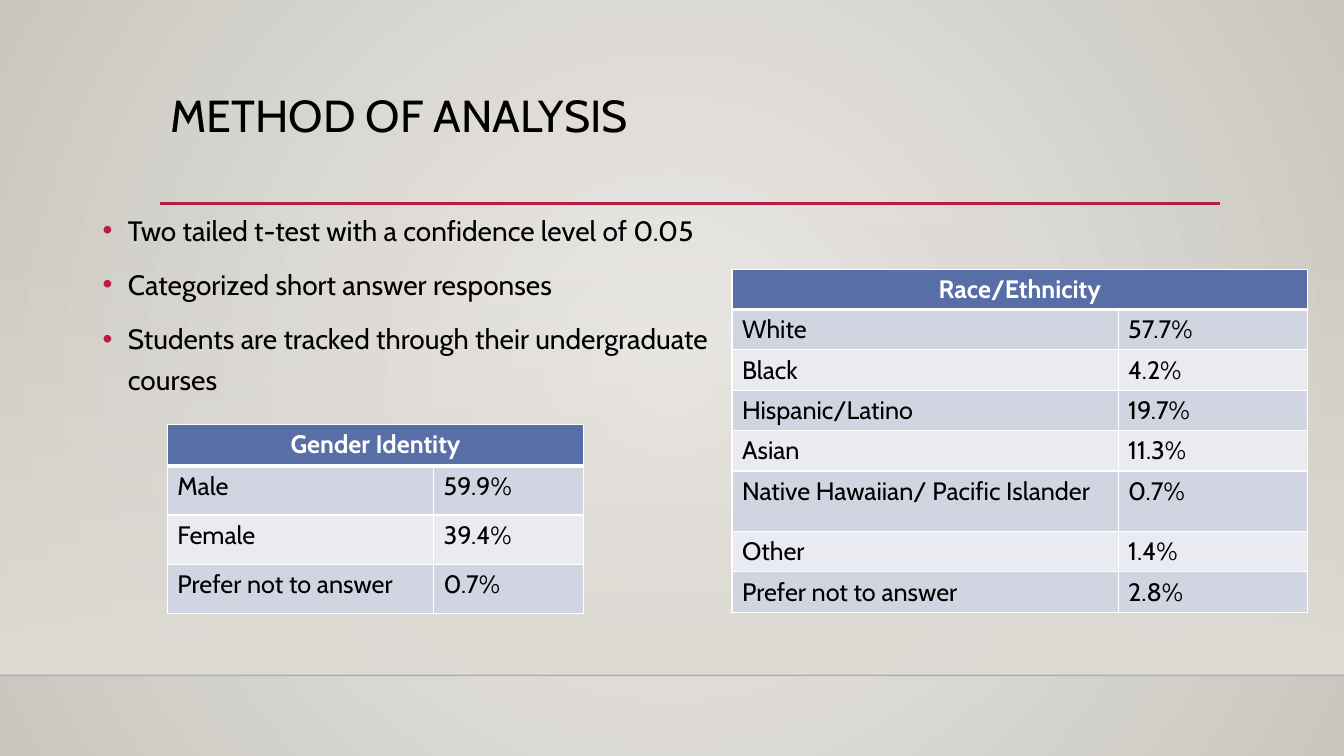
from dataclasses import dataclass

from lxml import etree
from pptx import Presentation
from pptx import util as u
from pptx.dml.color import RGBColor
from pptx.enum import shapes, text
from pptx.oxml import ns

HEADING = "METHOD OF ANALYSIS"
METHODS = [
    "Two tailed t-test with a confidence level of 0.05",
    "Categorized short answer responses",
    "Students are tracked through their undergraduate courses",
]
BREAKDOWNS = [
    {
        "heading": "Gender Identity",
        "corner": (1.66, 4.21),
        "columns": (2.64, 1.49),
        "heights": [0.41, 0.49, 0.49, 0.49],
        "shares": [
            ("Male", "59.9%"),
            ("Female", "39.4%"),
            ("Prefer not to answer", "0.7%"),
        ],
    },
    {
        "heading": "Race/Ethnicity",
        "corner": (7.26, 2.67),
        "columns": (3.83, 1.88),
        "heights": [0.34] * 5 + [0.6] + [0.34] * 2,
        "shares": [
            ("White", "57.7%"),
            ("Black", "4.2%"),
            ("Hispanic/Latino", "19.7%"),
            ("Asian", "11.3%"),
            ("Native Hawaiian/ Pacific Islander", "0.7%"),
            ("Other", "1.4%"),
            ("Prefer not to answer", "2.8%"),
        ],
    },
]


@dataclass(frozen=True)
class Theme:
    """Colours, font and type sizes of the slide."""

    font: str = "Cabin"
    ink: str = "000000"
    white: str = "FFFFFF"
    accent: str = "B71E42"
    glow: str = "ECEAE7"
    edge: str = "CAC7C1"
    wall: str = "DFDBD5"
    floor_line: str = "000001"
    header: str = "586EA6"
    bands: tuple = ("D1D5E1", "EAEBF1")
    title_size: int = 32
    body_size: int = 20
    table_size: int = 18


THEME = Theme()


def add_child(parent, tag, **attributes):
    """Append a DrawingML element to the parent."""
    return etree.SubElement(parent, ns.qn(f"a:{tag}"), **attributes)


def set_alpha(parent, percent):
    """Make the first solid colour below the parent translucent."""
    colour = next(parent.iter(ns.qn("a:srgbClr")))
    add_child(colour, "alpha", val=str(percent * 1000))


def format_text(paragraph, size, colour=THEME.ink, bold=False):
    """Format every run of a paragraph."""
    for run in paragraph.runs:
        run.font.name = THEME.font
        run.font.size = u.Pt(size)
        run.font.bold = bold
        run.font.color.rgb = RGBColor.from_string(colour)


def set_gradient(fill, start, end):
    """Give a fill a two-stop gradient."""
    fill.gradient()
    for stop, colour, position in zip(fill.gradient_stops, (start, end), (0, 1)):
        stop.color.rgb = RGBColor.from_string(colour)
        stop.position = position


def add_rule(slide, left, right, top, colour, width):
    """Draw a horizontal line."""
    rule = slide.shapes.add_connector(
        shapes.MSO_CONNECTOR.STRAIGHT,
        u.Inches(left), u.Inches(top), u.Inches(right), u.Inches(top),
    )
    rule.line.color.rgb = RGBColor.from_string(colour)
    rule.line.width = u.Pt(width)
    add_child(rule._element.spPr, "effectLst")
    return rule


def draw_backdrop(slide):
    """Draw the radial background, the wall and both lines."""
    set_gradient(slide.background.fill, THEME.glow, THEME.edge)
    gradient = next(slide._element.iter(ns.qn("a:gradFill")))
    linear = gradient.find(ns.qn("a:lin"))
    radial = add_child(gradient, "path", path="circle")
    add_child(radial, "fillToRect", l="50000", t="50000", r="50000", b="50000")
    gradient.replace(linear, radial)

    wall = slide.shapes.add_shape(
        shapes.MSO_SHAPE.RECTANGLE,
        u.Inches(0), u.Inches(2.21), u.Inches(13.33), u.Inches(4.49),
    )
    wall.shadow.inherit = False
    wall.line.fill.background()
    set_gradient(wall.fill, THEME.wall, THEME.wall)
    wall.fill.gradient_angle = 270
    set_alpha(wall._element.spPr, 0)

    floor = add_rule(slide, 0, 13.33, 6.7, THEME.floor_line, 1)
    set_alpha(floor._element.spPr, 20)
    add_rule(slide, 1.59, 12.1, 2.02, THEME.accent, 2.5)


def write_title(slide):
    """Fill and place the title."""
    title = slide.shapes.title
    title.left, title.top = u.Inches(1.59), u.Inches(0.88)
    title.width, title.height = u.Inches(10.5), u.Inches(1.15)
    frame = title.text_frame
    frame.text = HEADING
    frame.auto_size = text.MSO_AUTO_SIZE.NONE
    frame.vertical_anchor = text.MSO_ANCHOR.TOP
    heading = frame.paragraphs[0]
    heading.alignment = text.PP_ALIGN.LEFT
    heading.line_spacing = 0.9
    format_text(heading, THEME.title_size)


def write_methods(slide):
    """Write the bulleted methods."""
    methods = slide.shapes.add_textbox(
        u.Inches(0.92), u.Inches(2), u.Inches(6.49), u.Inches(4.76)
    ).text_frame
    methods.word_wrap = True
    methods.text = "\n".join(METHODS)
    for method in methods.paragraphs:
        method.line_spacing = 1.2
        method.space_before = u.Pt(10)
        format_text(method, THEME.body_size)
        properties = method._p.get_or_add_pPr()
        properties.set("marL", str(u.Inches(0.25)))
        properties.set("indent", str(u.Inches(-0.25)))
        add_child(add_child(properties, "buClr"), "srgbClr", val=THEME.accent)
        add_child(properties, "buFont", typeface="Arial")
        add_child(properties, "buChar", char="•")


def format_cell(cell, colour, bottom=1):
    """Set the borders and the fill of a cell."""
    properties = cell._tc.get_or_add_tcPr()
    for side, width in (("L", 1), ("R", 1), ("T", 1), ("B", bottom)):
        border = add_child(properties, f"ln{side}", w=str(u.Pt(width)))
        add_child(add_child(border, "solidFill"), "srgbClr", val=THEME.white)
    cell.fill.solid()
    cell.fill.fore_color.rgb = RGBColor.from_string(colour)


def add_breakdown(slide, heading, corner, columns, heights, shares):
    """Add a table of shares under a merged heading."""
    left, top = map(u.Inches, corner)
    table = slide.shapes.add_table(
        len(heights), len(columns), left, top,
        u.Inches(sum(columns)), u.Inches(sum(heights)),
    ).table
    for column, width in zip(table.columns, columns):
        column.width = u.Inches(width)
    for row, height in zip(table.rows, heights):
        row.height = u.Inches(height)

    for r, entries in enumerate([(heading, ""), *shares]):
        is_header = r == 0
        for c, entry in enumerate(entries):
            cell = table.cell(r, c)
            cell.text_frame.text = entry
            format_cell(
                cell,
                THEME.header if is_header else THEME.bands[(r - 1) % 2],
                3 if is_header else 1,
            )
            format_text(
                cell.text_frame.paragraphs[0], THEME.table_size,
                THEME.white if is_header else THEME.ink, is_header,
            )
    header = table.cell(0, 0)
    header.merge(table.cell(0, len(columns) - 1))
    header.text_frame.paragraphs[0].alignment = text.PP_ALIGN.CENTER


def main():
    """Build and save the slide."""
    deck = Presentation()
    deck.slide_width, deck.slide_height = u.Inches(13.33), u.Inches(7.5)
    slide = deck.slides.add_slide(deck.slide_layouts.get_by_name("Title Only"))
    draw_backdrop(slide)
    write_title(slide)
    write_methods(slide)
    for breakdown in BREAKDOWNS:
        add_breakdown(slide, **breakdown)
    deck.save("out.pptx")


if __name__ == "__main__":
    main()
